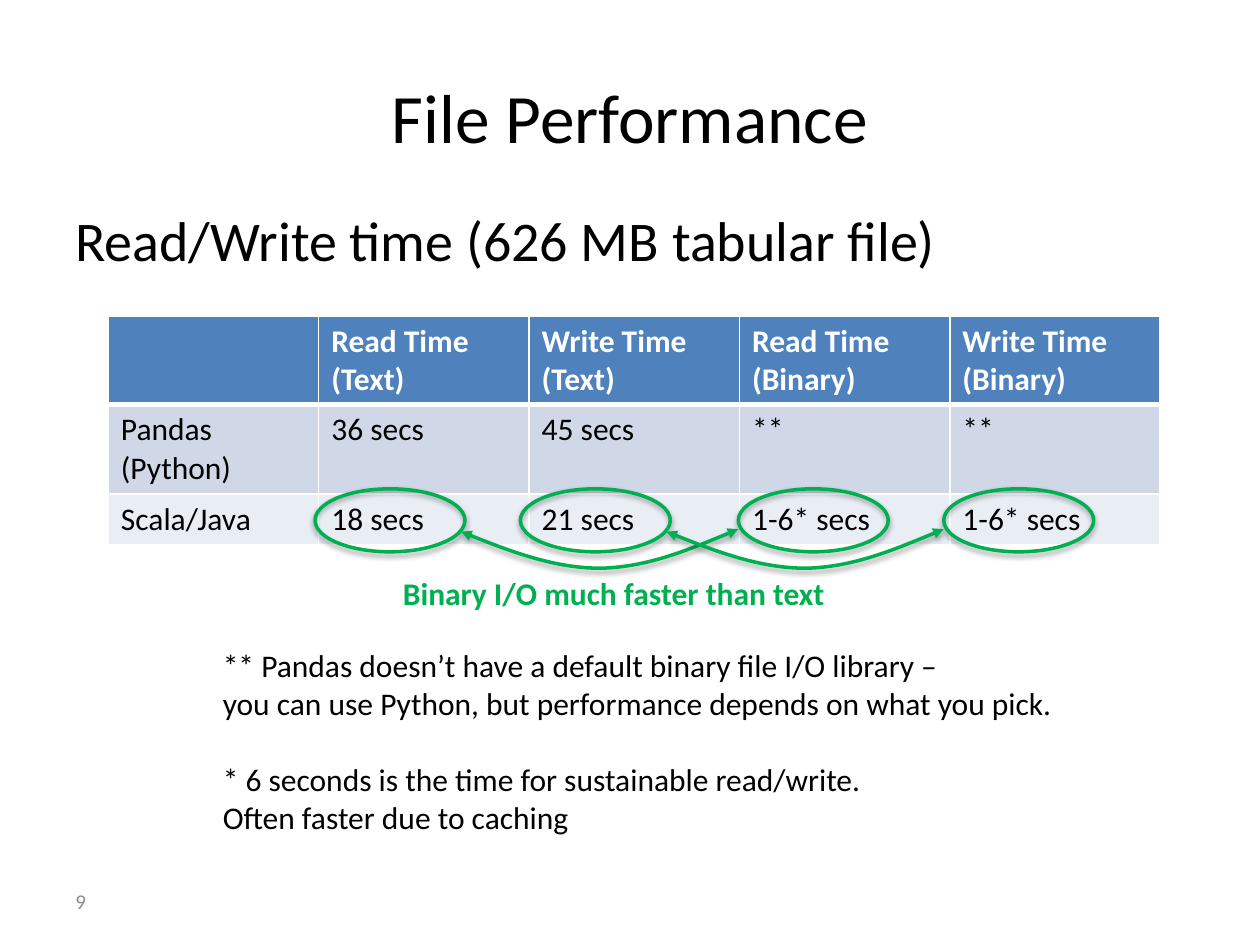
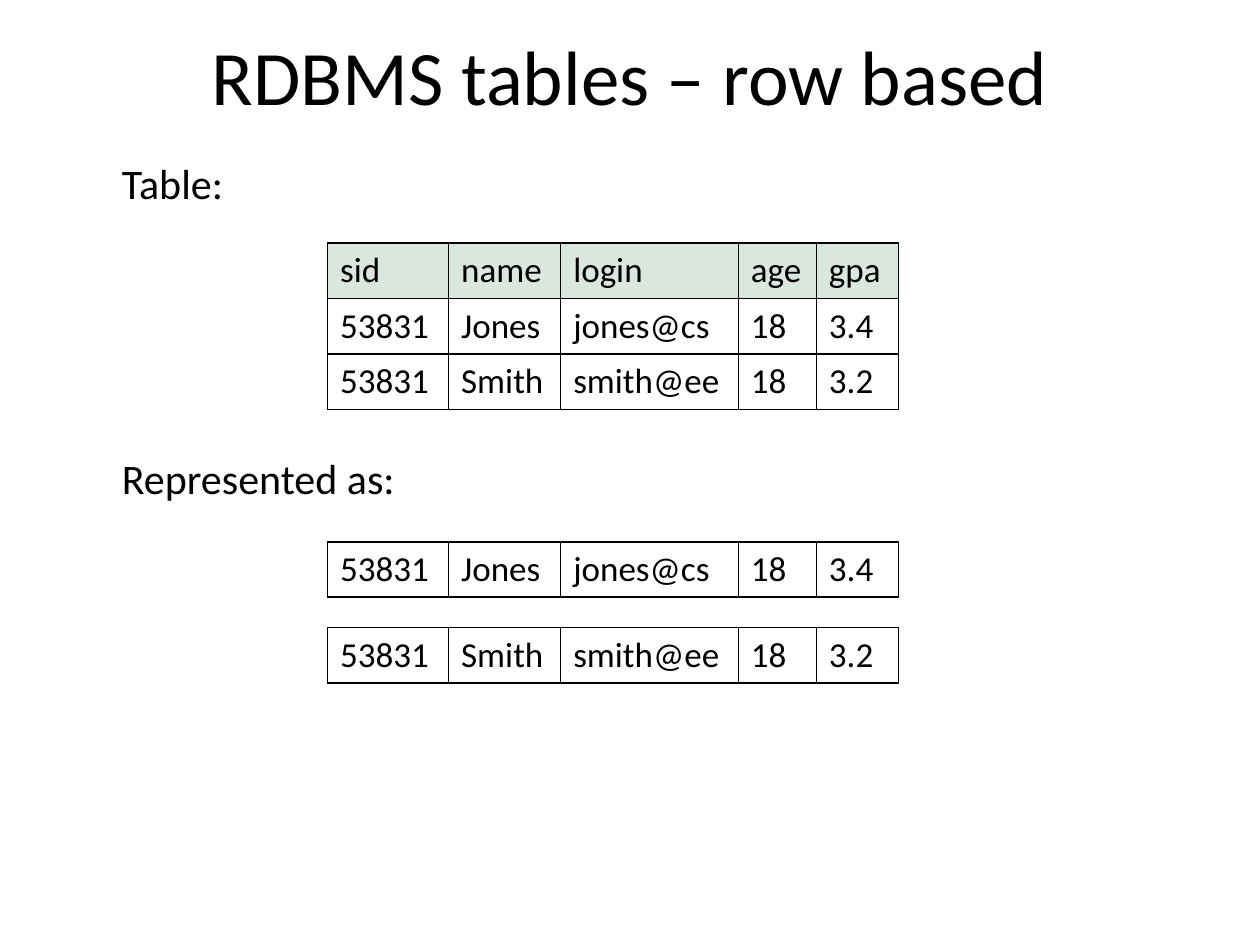
from lxml import etree
from pptx import Presentation
from pptx.dml.color import RGBColor
from pptx.enum.shapes import MSO_SHAPE
from pptx.enum.text import MSO_ANCHOR, MSO_AUTO_SIZE, PP_ALIGN
from pptx.oxml.ns import qn
from pptx.util import Inches, Pt

OVAL = MSO_SHAPE.OVAL
MIDDLE = MSO_ANCHOR.MIDDLE
NO_FIT = MSO_AUTO_SIZE.NONE
CENTER = PP_ALIGN.CENTER

FONT = "Calibri"
COLORS = {
    "text": "000000",
    "white": "FFFFFF",
    "number": "8C8C8C",
    "accent": "00B050",
    "header": "4F81BD",
    "band_dark": "D0D8E8",
    "band_light": "E9EDF4",
    "field": "D9E7DF",
}


def rgb(name):
    """Return the named colour."""
    return RGBColor.from_string(COLORS[name])


def sub(parent, tag, **attrs):
    """Append an XML child with the given attributes."""
    child = etree.SubElement(parent, qn(tag))
    for key, value in attrs.items():
        child.set(key, str(value))
    return child


class Deck:
    """Hold the shared style and the current slide."""

    def __init__(self):
        """Start an empty 10 by 7.5 inch presentation."""
        self.prs = Presentation()
        self.prs.slide_width, self.prs.slide_height = Inches(10), Inches(7.5)
        self.s = None

    def slide(self, title, top, height, size):
        """Add a title-only slide and format its title."""
        self.s = self.prs.slides.add_slide(self.prs.slide_layouts[5])
        sp = self.s.shapes.title
        sp.left, sp.top = Inches(0.5), Inches(top)
        sp.width, sp.height = Inches(9), Inches(height)
        tf = sp.text_frame
        tf.auto_size, tf.vertical_anchor = NO_FIT, MIDDLE
        self.add_runs(tf.paragraphs[0], title, size)
        tf.paragraphs[0].alignment = CENTER

    def add_runs(self, p, text, size, color="text", bold=False):
        """Add text run by run, with a line break at each newline."""
        for i, line in enumerate(text.split("\n")):
            if i:
                p.add_line_break()
            r = p.add_run()
            r.text = line
            r.font.name, r.font.size, r.font.bold = FONT, Pt(size), bold
            r.font.color.rgb = rgb(color)

    def text(self, x, y, w, h, paragraphs, size, color="text", bold=False, gap=0, anchor=None):
        """Add a text box whose paragraphs are gap points apart."""
        tf = self.s.shapes.add_textbox(Inches(x), Inches(y), Inches(w), Inches(h)).text_frame
        tf.word_wrap = True
        tf.vertical_anchor = anchor
        for i, text in enumerate(paragraphs):
            p = tf.add_paragraph() if i else tf.paragraphs[0]
            if i:
                p.space_before = Pt(gap)
            self.add_runs(p, text, size, color, bold)

    def table(self, x, y, widths, heights, rows, fills, size, border, header=False):
        """Add a table with one fill per row and an optional bold header."""
        frame = self.s.shapes.add_table(len(rows), len(widths), Inches(x), Inches(y),
                                        Inches(sum(widths)), Inches(sum(heights)))
        table = frame.table
        table.first_row = table.horz_banding = False
        for column, width in zip(table.columns, widths):
            column.width = Inches(width)
        for i, (row, values) in enumerate(zip(table.rows, rows)):
            row.height = Inches(heights[i])
            is_header = header and i == 0
            for cell, value in zip(row.cells, values):
                self.borders(cell, border,
                             top=3 if header and i == 1 else 1,
                             bottom=3 if is_header else 1)
                cell.fill.solid()
                cell.fill.fore_color.rgb = rgb(fills[i])
                if value:
                    self.add_runs(cell.text_frame.paragraphs[0], value, size,
                                  "white" if is_header else "text", is_header)

    def borders(self, cell, color, top, bottom):
        """Draw the four borders of a cell."""
        tc_pr = cell._tc.get_or_add_tcPr()
        for tag, width in (("a:lnL", 1), ("a:lnR", 1), ("a:lnT", top), ("a:lnB", bottom)):
            ln = sub(tc_pr, tag, w=Pt(width))
            sub(sub(ln, "a:solidFill"), "a:srgbClr", val=COLORS[color])

    def outline(self, sp):
        """Give a shape no fill, an accent line and a soft shadow."""
        sp.fill.background()
        sp.line.color.rgb = rgb("accent")
        sp.line.width = Pt(2)
        sp.shadow.inherit = False
        effects = sp._element.spPr.find(qn("a:effectLst"))
        shadow = sub(effects, "a:outerShdw", blurRad=Pt(3.1), dist=Pt(1.8),
                     dir=5400000, rotWithShape=0)
        sub(sub(shadow, "a:srgbClr", val="000000"), "a:alpha", val=35000)

    def ring(self, x, y, w, h):
        """Add an outlined ellipse."""
        self.outline(self.s.shapes.add_shape(OVAL, Inches(x), Inches(y), Inches(w), Inches(h)))

    def curve(self, x, y, points):
        """Add a double-headed Bezier curve, three offsets per segment."""
        builder = self.s.shapes.build_freeform(Inches(x), Inches(y))
        builder.add_line_segments([(Inches(x + dx), Inches(y + dy)) for dx, dy in points], close=False)
        sp = builder.convert_to_shape()
        lines = list(sp._element.iter(qn("a:lnTo")))
        for i in range(0, len(lines), 3):
            bezier = sub(lines[i].getparent(), "a:cubicBezTo")
            for line in lines[i:i + 3]:
                bezier.append(line[0])
                line.getparent().remove(line)
        self.outline(sp)
        ln = sp._element.spPr.find(qn("a:ln"))
        sub(ln, "a:headEnd", type="triangle")
        sub(ln, "a:tailEnd", type="triangle")


def file_performance(deck):
    """Build the read and write timing slide."""
    deck.slide("File Performance", 0.59, 0.66, 39.6)
    deck.text(0.5, 1.58, 9, 0.7, ["Read/Write time (626 MB tabular file)"], 32)
    timings = [
        ["", "Read Time (Text)", "Write Time (Text)", "Read Time\n(Binary)", "Write Time\n(Binary)"],
        ["Pandas (Python)", "36 secs", "45 secs", "**", "**"],
        ["Scala/Java", "18 secs", "21 secs", "1-6* secs", "1-6* secs"],
    ]
    deck.table(0.86, 2.51, [1.67] * 5, [0.7, 0.71, 0.4], timings,
               ["header", "band_dark", "band_light"], 18, "white", header=True)
    notes = [
        "** Pandas doesn’t have a default binary file I/O library –\n"
        "you can use Python, but performance depends on what you pick.",
        "* 6 seconds is the time for sustainable read/write.\nOften faster due to caching",
    ]
    deck.text(1.67, 5.08, 7.2, 1.62, notes, 18, gap=22)
    arc = [(0.37, 0.15), (0.75, 0.29), (1.11, 0.29), (1.48, 0.28), (1.84, 0.13), (2.2, -0.02)]
    for text_x in (2.5, 4.13):
        for x in (text_x, text_x + 3.36):
            deck.ring(x, 3.88, 1.19, 0.5)
        deck.curve(text_x + 1.16, 4.22, arc)
    deck.text(3.1, 4.51, 3.7, 0.4, ["Binary I/O much faster than text"], 18, "accent", True)
    deck.text(0.5, 6.95, 2.33, 0.4, ["9"], 12, "number", anchor=MIDDLE)


def row_based_tables(deck):
    """Build the row storage slide."""
    deck.slide("RDBMS tables – row based", 0.15, 0.89, 44)
    deck.text(0.87, 1.2, 8.77, 3, ["Table:", "Represented as:"], 24, gap=140)
    fields = ["sid", "name", "login", "age", "gpa"]
    records = [
        ["53831", "Jones", "jones@cs", "18", "3.4"],
        ["53831", "Smith", "smith@ee", "18", "3.2"],
    ]
    for y, rows in ((1.93, [fields] + records), (4.3, records[:1]), (4.98, records[1:])):
        fills = ["field" if row is fields else "white" for row in rows]
        deck.table(2.6, y, [0.96, 0.89, 1.41, 0.62, 0.65], [0.44] * len(rows),
                   rows, fills, 20, "text")


def main():
    """Build and save the slides."""
    deck = Deck()
    file_performance(deck)
    row_based_tables(deck)
    deck.prs.save("out.pptx")


if __name__ == "__main__":
    main()
